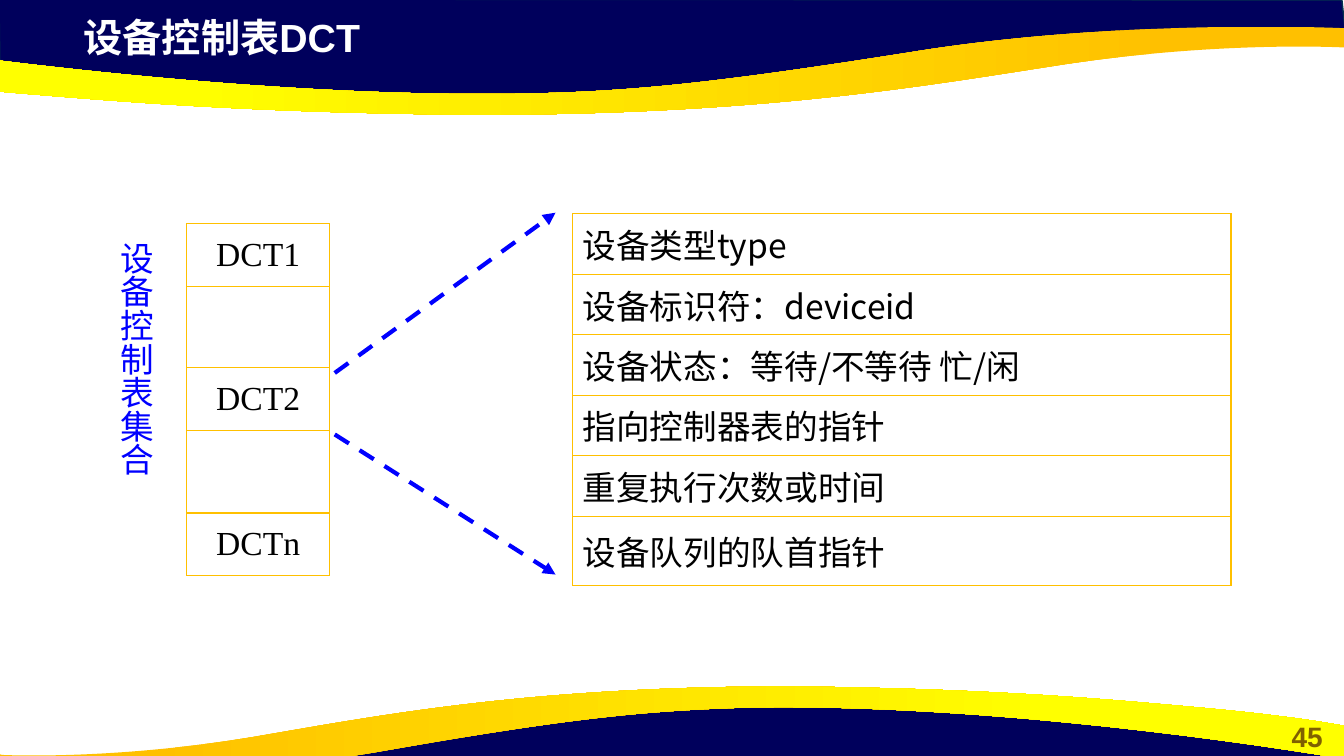
"""Build the slide on the device control table."""
from lxml.etree import Element, SubElement as Sub
from pptx import Presentation
from pptx.dml.color import RGBColor as RGB
from pptx.enum.dml import MSO_LINE as Dash
from pptx.enum.shapes import MSO_CONNECTOR as Link
from pptx.enum.text import MSO_ANCHOR as Anchor, MSO_AUTO_SIZE as Fit, PP_ALIGN as Align
from pptx.oxml.ns import qn
from pptx.util import Inches, Pt

NAVY = RGB(0x00, 0x00, 0x5C)
EDGE = RGB(0x05, 0x30, 0x4F)
GOLD = RGB(0xFF, 0xC0, 0x00)
YELLOW = RGB(0xFF, 0xFF, 0x00)
BROWN = RGB(0x80, 0x60, 0x00)
BLUE = RGB(0x00, 0x00, 0xFF)
BLACK = RGB(0x00, 0x00, 0x00)
WHITE = RGB(0xFF, 0xFF, 0xFF)
ARIAL, TIMES, NOTO = "Arial", "Times New Roman", "Noto Sans CJK SC"

TOP_NAVY = [(-0.01, -0.01), (0, 0.7), (2.93, 1.02), (5.59, 1), (7.95, 0.88),
            (10.16, 0.5), (12.38, 0.33), (13.35, 0.38), (13.31, 0), (-0.01, -0.01)]
LOW_NAVY = [(13.33, 7.94), (13.32, 7.24), (10.4, 6.91), (7.73, 6.93), (5.38, 7.06),
            (3.17, 7.43), (0.95, 7.6), (-0.03, 7.56), (0.01, 7.93), (13.33, 7.94)]
TOP_GOLD = [(4.83, 1.14),
            (4.43, 1.14, 4.01, 1.13, 3.56, 1.12), (2.06, 1.08, 1.1, 1, 0.36, 0.94),
            (-0.88, 0.84, -1.3, 0.75, -1.33, 0.75), (-1.33, 0.42, -1.33, 0.42, -1.33, 0.42),
            (-1.33, 0.42, 2.18, 0.98, 5.17, 0.93), (6.26, 0.91, 7.08, 0.83, 9.15, 0.5),
            (11.21, 0.18, 13.33, 0.28, 13.33, 0.28), (13.33, 0.32), (13.33, 0.47), (13.3, 0.47),
            (13.05, 0.46, 11.95, 0.43, 10.55, 0.64), (9.18, 0.85, 7.62, 1.13, 4.83, 1.14),
            (4.83, 1.14)]
LOW_GOLD = [(7.72, 6.81),
            (8.09, 6.81, 8.47, 6.82, 8.88, 6.83), (10.25, 6.87, 11.12, 6.95, 11.79, 7.01),
            (12.92, 7.11, 13.3, 7.2, 13.33, 7.2), (13.33, 7.53, 13.33, 7.53, 13.33, 7.53),
            (13.33, 7.53, 10.14, 6.97, 7.42, 7.02), (6.42, 7.05, 5.67, 7.12, 3.8, 7.45),
            (1.92, 7.78, -0.01, 7.68, -0.01, 7.68), (-0.01, 7.64), (-0.01, 7.48), (0.02, 7.49),
            (0.25, 7.5, 1.25, 7.52, 2.52, 7.31), (3.76, 7.1, 5.19, 6.82, 7.72, 6.81),
            (7.72, 6.81)]
UNITS = 100


def add_form(slide, parts):
    """Draw a closed outline of lines and cubic curves, given in inches."""
    parts = [[round(UNITS * value) for value in part] for part in parts]
    ends = [part[-2:] for part in parts]
    build = slide.shapes.build_freeform(*ends[0], scale=Inches(1) / UNITS)
    build.add_line_segments(ends[1:], close=True)
    form = build.convert_to_shape()
    left, top = (min(axis) for axis in zip(*ends))
    lines = list(form.element.iter(qn("a:lnTo")))
    for line, part in zip(lines, parts[1:]):
        if len(part) == 6:
            line.tag = qn("a:cubicBezTo")
            for index in (0, 1):
                x, y = part[2 * index:2 * index + 2]
                line.insert(index, Element(qn("a:pt"), x=str(x - left), y=str(y - top)))
    return form


def add_wave(slide, parts, angle=None):
    """Draw a navy wave, or a gold one when a gradient angle is given."""
    wave = add_form(slide, parts)
    wave.shadow.inherit = False
    if angle is None:
        wave.fill.solid()
        wave.fill.fore_color.rgb = NAVY
        wave.line.color.rgb = EDGE
        wave.line.width = Pt(1)
        return
    wave.fill.gradient()
    wave.fill.gradient_angle = angle
    for stop, place, color in zip(wave.fill.gradient_stops, (0.11, 0.78), (GOLD, YELLOW)):
        stop.position = place
        stop.color.rgb = color
    wave.line.fill.background()


def write(frame, text, size, face, color, bold=False, align=Align.LEFT):
    """Add one formatted run to the first paragraph of a frame."""
    para = frame.paragraphs[0]
    para.alignment = align
    para.space_before = Pt(0)
    run = para.add_run()
    run.text = text
    font = run.font
    font.size, font.name, font.bold = Pt(size), face, bold
    font.color.rgb = color
    Sub(font._element, qn("a:ea"), typeface=NOTO)


def add_title(slide, text):
    """Place the title over the top wave."""
    title = slide.shapes.title
    title.element.getparent().append(title.element)
    title.left, title.top = Inches(0.73), Inches(0.08)
    title.width, title.height = Inches(7.68), Inches(0.57)
    frame = title.text_frame
    frame.auto_size = Fit.NONE
    frame.vertical_anchor = Anchor.MIDDLE
    write(frame, text, 28, ARIAL, WHITE, True)


def add_label(slide, box, text, *style, upright=False):
    """Add a text box, set in a column if upright."""
    frame = slide.shapes.add_textbox(*map(Inches, box)).text_frame
    frame.word_wrap = True
    if upright:
        frame._txBody.bodyPr.set("vert", "eaVert")
    write(frame, text, *style)


def add_border(cell):
    """Give a cell thin gold borders and no fill."""
    props = cell._tc.get_or_add_tcPr()
    for side in ("lnL", "lnR", "lnT", "lnB"):
        line = Sub(props, qn("a:" + side), w=str(Pt(1)))
        fill = Sub(line, qn("a:solidFill"))
        Sub(fill, qn("a:srgbClr"), val=str(GOLD))
    cell.fill.background()


def add_list(slide, spot, width, rows, face, align):
    """Add a table of one column from pairs of text and height."""
    size = (width, sum(height for _, height in rows))
    table = slide.shapes.add_table(len(rows), 1, *map(Inches, spot + size)).table
    table.first_row = table.horz_banding = False
    for index, (text, height) in enumerate(rows):
        table.rows[index].height = Inches(height)
        cell = table.cell(index, 0)
        cell.vertical_anchor = Anchor.MIDDLE
        cell.margin_left = cell.margin_right = Inches(0.1)
        cell.margin_top = cell.margin_bottom = Inches(0.04)
        add_border(cell)
        if text:
            write(cell.text_frame, text, 24, face, BLACK, align=align)


def add_arrow(slide, start, end):
    """Draw a dashed blue arrow."""
    arrow = slide.shapes.add_connector(Link.STRAIGHT, *map(Inches, start + end))
    arrow.line.color.rgb = BLUE
    arrow.line.width = Pt(3)
    arrow.line.dash_style = Dash.DASH
    Sub(arrow.line._get_or_add_ln(), qn("a:tailEnd"), type="triangle")
    Sub(arrow._element.spPr, qn("a:effectLst"))


def main():
    """Build and save the slide."""
    deck = Presentation()
    deck.slide_width, deck.slide_height = Inches(13.33), Inches(7.5)
    slide = deck.slides.add_slide(deck.slide_layouts[5])
    add_wave(slide, TOP_NAVY)
    add_wave(slide, TOP_GOLD, 180)
    add_wave(slide, LOW_NAVY)
    add_wave(slide, LOW_GOLD, 0)
    add_label(slide, (12.6, 7.09, 0.73, 0.44), "45", 20, ARIAL, BROWN, True, Align.CENTER)
    add_title(slide, "设备控制表DCT")
    tables = [("DCT1", 0.62), ("", 0.81), ("DCT2", 0.62), ("", 0.82), ("DCTn", 0.62)]
    add_list(slide, (1.85, 2.22), 1.42, tables, TIMES, Align.CENTER)
    fields = [("设备类型type", 0.6), ("设备标识符：deviceid", 0.6),
              ("设备状态：等待/不等待 忙/闲", 0.6), ("指向控制器表的指针", 0.6),
              ("重复执行次数或时间", 0.6), ("设备队列的队首指针", 0.69)]
    add_list(slide, (5.68, 2.12), 6.53, fields, NOTO, Align.LEFT)
    add_arrow(slide, (3.32, 3.7), (5.51, 2.11))
    add_arrow(slide, (3.32, 4.31), (5.51, 5.7))
    add_label(slide, (0.99, 2.3, 0.61, 3.12), "设备控制表集合", 24, NOTO, BLUE, upright=True)
    deck.save("out.pptx")


if __name__ == "__main__":
    main()
